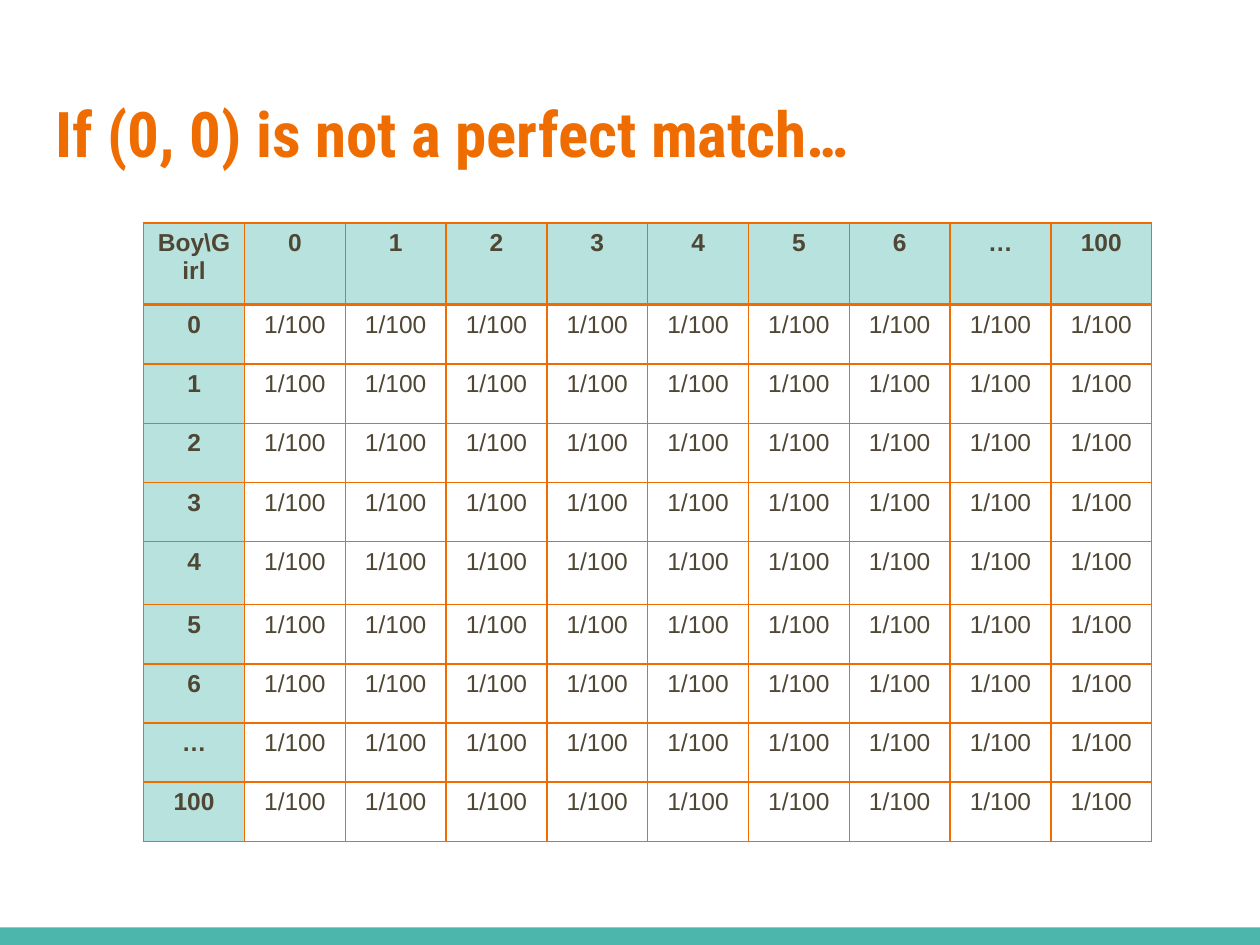
from lxml import etree
from pptx import Presentation
from pptx.dml.color import RGBColor
from pptx.enum.shapes import MSO_SHAPE
from pptx.enum.text import MSO_ANCHOR, PP_ALIGN
from pptx.oxml.ns import qn
from pptx.util import Inches, Pt

RECTANGLE = MSO_SHAPE.RECTANGLE
TOP = MSO_ANCHOR.TOP
CENTER = PP_ALIGN.CENTER

COLORS = {
    "orange": "EF6C00",
    "teal": "4DB6AC",
    "pale_teal": "B8E2DE",
    "brown": "4F4634",
    "white": "FFFFFF",
}
LABELS = ["0", "1", "2", "3", "4", "5", "6", "…", "100"]
PROBABILITY = "1/100"
COLUMN_WIDTH = 0.8
HEADER_HEIGHT = 0.65
ROW_HEIGHT = 0.47
TALL_ROW, TALL_HEIGHT = 5, 0.5


def rgb(name):
    return RGBColor.from_string(COLORS[name])


class PageBuilder:
    """Holds the text style and the page being built."""

    title_font = "Roboto Condensed"
    table_font = "Arial"

    def __init__(self, page):
        self.page = page

    def style(self, para, font, size, color, bold):
        para.font.name = font
        para.font.size = Pt(size)
        para.font.color.rgb = rgb(color)
        para.font.bold = bold

    def bar(self, left, top, width, height, color):
        bar = self.page.shapes.add_shape(
            RECTANGLE, Inches(left), Inches(top), Inches(width), Inches(height))
        bar.shadow.inherit = False
        bar.fill.solid()
        bar.fill.fore_color.rgb = rgb(color)
        bar.line.fill.background()

    def title(self, text, left, top, width, height):
        box = self.page.shapes.add_textbox(
            Inches(left), Inches(top), Inches(width), Inches(height))
        frame = box.text_frame
        frame.word_wrap = True
        frame.vertical_anchor = TOP
        frame.margin_left = frame.margin_right = Inches(0.1)
        frame.margin_top = frame.margin_bottom = Inches(0.1)
        para = frame.paragraphs[0]
        para.text = text
        self.style(para, self.title_font, 36, "orange", True)

    def border(self, cell, bottom_width):
        """Draw all four edges; only the bottom one varies in width."""
        properties = cell._tc.get_or_add_tcPr()
        widths = {"lnL": 1, "lnR": 1, "lnT": 1, "lnB": bottom_width}
        for position, (edge, width) in enumerate(widths.items()):
            line = etree.Element(qn(f"a:{edge}"), w=str(Pt(width)))
            fill = etree.SubElement(line, qn("a:solidFill"))
            etree.SubElement(fill, qn("a:srgbClr"), val=COLORS["orange"])
            properties.insert(position, line)

    def cell(self, cell, text, is_label, bottom_width):
        cell.fill.solid()
        cell.fill.fore_color.rgb = rgb("pale_teal" if is_label else "white")
        para = cell.text_frame.paragraphs[0]
        para.text = text
        para.alignment = CENTER
        self.style(para, self.table_font, 14, "brown", is_label)
        self.border(cell, bottom_width)

    def table(self, rows, left, top):
        heights = [HEADER_HEIGHT] + [ROW_HEIGHT] * (len(rows) - 1)
        heights[TALL_ROW] = TALL_HEIGHT
        columns = len(rows[0])
        table = self.page.shapes.add_table(
            len(rows), columns, Inches(left), Inches(top),
            Inches(COLUMN_WIDTH * columns), Inches(sum(heights))).table
        for column in table.columns:
            column.width = Inches(COLUMN_WIDTH)
        for r, (values, height) in enumerate(zip(rows, heights)):
            table.rows[r].height = Inches(height)
            for c, text in enumerate(values):
                self.cell(table.cell(r, c), text, r == 0 or c == 0,
                          2 if r == 0 else 1)


def main():
    deck = Presentation()
    deck.slide_width, deck.slide_height = Inches(10), Inches(7.5)
    builder = PageBuilder(deck.slides.add_slide(deck.slide_layouts[6]))

    builder.bar(0, 7.36, 10, 0.14, "teal")
    builder.title("If (0, 0) is not a perfect match…", 0.34, 0.65, 9.32, 1.03)
    header = ["Boy\\Girl"] + LABELS
    body = [[label] + [PROBABILITY] * len(LABELS) for label in LABELS]
    builder.table([header] + body, 1.14, 1.77)

    deck.save("out.pptx")


if __name__ == "__main__":
    main()
